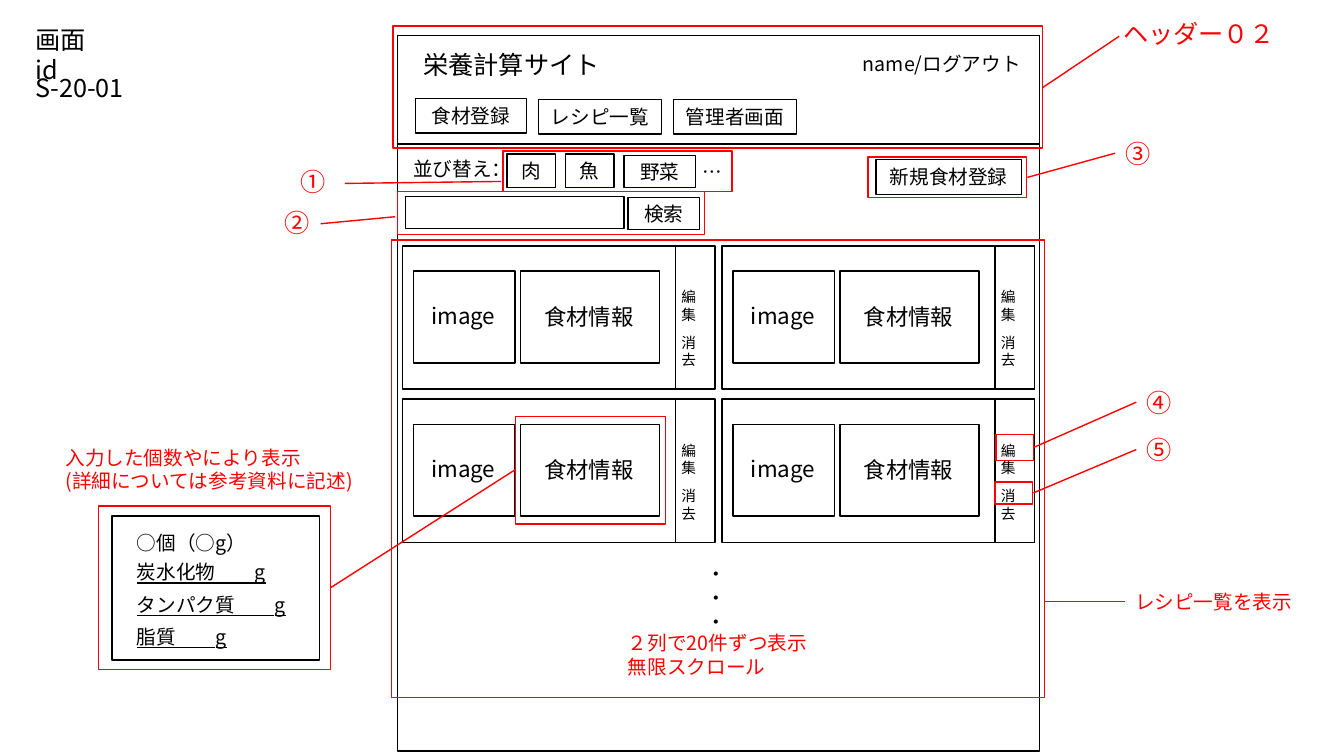
from lxml import etree
from pptx import Presentation
from pptx.dml.color import RGBColor
from pptx.enum.shapes import MSO_CONNECTOR, MSO_SHAPE
from pptx.enum.text import MSO_ANCHOR, MSO_AUTO_SIZE, PP_ALIGN
from pptx.oxml.ns import qn
from pptx.util import Inches, Pt

RECTANGLE = MSO_SHAPE.RECTANGLE
STRAIGHT = MSO_CONNECTOR.STRAIGHT
MIDDLE = MSO_ANCHOR.MIDDLE
CENTER = PP_ALIGN.CENTER
GROW = MSO_AUTO_SIZE.SHAPE_TO_FIT_TEXT
FONT = "Noto Sans CJK JP"
BLACK, RED = "000000", "FF0000"

# Boxes are (left, top, width, height) in inches.
FRAMES = [
    (3.94, 0.35, 6.37, 7.1),    # page
    (3.94, 0.35, 6.37, 1.08),   # header
    (4.02, 1.95, 2.17, 0.32),   # search field
    (1.11, 5.12, 2.06, 1.43),   # nutrition detail
]
BUTTONS = [
    ("食材登録", (4.12, 0.98, 1.1, 0.34)),
    ("レシピ一覧", (5.34, 0.99, 1.22, 0.34)),
    ("管理者画面", (6.68, 0.99, 1.22, 0.34)),
    ("肉", (5.03, 1.53, 0.48, 0.33)),
    ("魚", (5.61, 1.53, 0.48, 0.33)),
    ("野菜", (6.19, 1.54, 0.71, 0.32)),
    ("検索", (6.23, 1.96, 0.71, 0.32)),
    ("新規食材登録", (8.69, 1.58, 1.44, 0.35)),
]
# Lines of text, box, size
LABELS = [
    (["画面id"], (0.25, 0.19, 0.92, 0.4), 18),
    (["S-20-01"], (0.25, 0.67, 1.14, 0.4), 18),
    (["栄養計算サイト"], (4.1, 0.44, 2, 0.4), 18),
    (["name/ログアウト"], (8.46, 0.47, 1.87, 0.34), 14),
    (["並び替え："], (4, 1.51, 1.26, 0.34), 14),
    (["…"], (6.87, 1.54, 0.44, 0.34), 14),
    (["・", "・", "・"], (6.91, 5.53, 0.46, 0.81), 14),
    (["○個（○g）"], (1.26, 5.22, 1.91, 0.34), 14),
]
NUTRIENTS = [
    ("炭水化物　　g", 1.57),
    ("タンパク質　　g", 1.86),
    ("脂質　　g", 1.57),
]
NUTRIENT_LEFT, NUTRIENT_TOP, NUTRIENT_STEP = 1.26, 5.51, 0.32

CARD_LEFTS, CARD_TOPS = (3.99, 7.16), (2.44, 3.96)
# Offsets from the card's top left corner
CARD_FRAMES = [
    (0, 0, 3.1, 1.42),
    (0.11, 0.25, 1.01, 0.91),
    (1.17, 0.25, 1.38, 0.91),
    (2.71, 0, 0.39, 1.42),
]
CARD_LABELS = [
    ("image", (0.19, 0.51, 0.86, 0.45), 16),
    ("食材情報", (1.31, 0.52, 1.15, 0.45), 16),
    ("編集", (2.67, 0.37, 0.36, 0.25), 10.5),
    ("消去", (2.67, 0.82, 0.36, 0.25), 10.5),
]

# Red frame, leader line (from x, y, to x, y), note lines, note box, size
CALLOUTS = [
    ((4.99, 1.5, 2.27, 0.4), (3.42, 1.82, 4.97, 1.8),
     ["①"], (2.88, 1.6, 0.45, 0.4), 18),
    ((3.94, 1.9, 3.05, 0.43), (3.18, 2.22, 3.92, 2.15),
     ["②"], (2.72, 2.01, 0.45, 0.4), 18),
    ((8.61, 1.56, 1.57, 0.4), (10.19, 1.76, 11.06, 1.52),
     ["③"], (11.06, 1.32, 0.45, 0.4), 18),
    ((9.88, 4.31, 0.37, 0.26), (10.25, 4.44, 11.27, 3.99),
     ["④"], (11.27, 3.79, 0.45, 0.4), 18),
    ((9.87, 4.78, 0.37, 0.22), (10.25, 4.89, 11.27, 4.46),
     ["⑤"], (11.27, 4.26, 0.45, 0.4), 18),
    ((3.9, 0.26, 6.44, 1.21), (10.34, 0.87, 11.1, 0.36),
     ["ヘッダー０２"], (11.04, 0.13, 1.72, 0.4), 18),
    ((3.88, 2.38, 6.48, 4.54), (10.36, 5.97, 11.16, 5.97),
     ["レシピ一覧を表示"], (11.16, 5.8, 1.84, 0.34), 14),
    ((0.98, 5.02, 2.3, 1.62), (5.11, 4.66, 3.28, 5.83),
     ["入力した個数やにより表示", "(詳細については参考資料に記述)"],
     (0.55, 4.37, 3.45, 0.57), 14),
]
INFO_FRAME = (5.11, 4.13, 1.49, 1.07)
SCROLL_NOTE = (["２列で20件ずつ表示", "無限スクロール"], (6.13, 6.21, 2.57, 0.57), 14)


def rgb(color):
    """Turn a hex string into a colour."""
    return RGBColor.from_string(color)


def inches(values):
    """Turn numbers into lengths."""
    return [Inches(value) for value in values]


def shifted(box, left, top):
    """Move a box by an offset."""
    return (box[0] + left, box[1] + top, box[2], box[3])


def write(paragraph, text, size, color=BLACK, underline=None):
    """Add one formatted run to a paragraph."""
    run = paragraph.add_run()
    run.text = text
    run.font.name = FONT
    run.font.size = Pt(size)
    run.font.color.rgb = rgb(color)
    run.font.underline = underline
    east_asian = etree.SubElement(run.font._element, qn("a:ea"))
    east_asian.set("typeface", FONT)


def add_frame(slide, box, color=BLACK):
    """Add an unfilled, outlined rectangle."""
    shape = slide.shapes.add_shape(RECTANGLE, *inches(box))
    shape.shadow.inherit = False
    shape.fill.background()
    shape.line.color.rgb = rgb(color)
    shape.line.width = Pt(1)
    return shape


def add_button(slide, text, box):
    """Add a rectangle with a centred caption."""
    frame = add_frame(slide, box).text_frame
    frame.word_wrap = True
    frame.vertical_anchor = MIDDLE
    frame.paragraphs[0].alignment = CENTER
    write(frame.paragraphs[0], text, 14)


def add_label(slide, lines, box, size, color=BLACK, underline=None):
    """Add a text box with one paragraph per line."""
    frame = slide.shapes.add_textbox(*inches(box)).text_frame
    frame.word_wrap = True
    frame.auto_size = GROW
    for index, line in enumerate(lines):
        paragraph = frame.add_paragraph() if index else frame.paragraphs[0]
        write(paragraph, line, size, color, underline)


def add_leader(slide, ends):
    """Add a thin red line between two points."""
    connector = slide.shapes.add_connector(STRAIGHT, *inches(ends))
    connector.line.color.rgb = rgb(RED)
    connector.line.width = Pt(1)
    etree.SubElement(connector._element.spPr, qn("a:effectLst"))


def add_card(slide, left, top):
    """Add one ingredient card."""
    for box in CARD_FRAMES:
        add_frame(slide, shifted(box, left, top))
    for text, box, size in CARD_LABELS:
        add_label(slide, [text], shifted(box, left, top), size)


presentation = Presentation()
presentation.slide_width, presentation.slide_height = Inches(13.33), Inches(7.5)
slide = presentation.slides.add_slide(presentation.slide_layouts[6])

for box in FRAMES:
    add_frame(slide, box)
for text, box in BUTTONS:
    add_button(slide, text, box)
for lines, box, size in LABELS:
    add_label(slide, lines, box, size)
for row, (text, width) in enumerate(NUTRIENTS):
    box = (NUTRIENT_LEFT, NUTRIENT_TOP + row * NUTRIENT_STEP, width, 0.34)
    add_label(slide, [text], box, 14, underline=True)
for top in CARD_TOPS:
    for left in CARD_LEFTS:
        add_card(slide, left, top)

add_frame(slide, INFO_FRAME, RED)
for box, ends, lines, note_box, size in CALLOUTS:
    add_frame(slide, box, RED)
    add_leader(slide, ends)
    add_label(slide, lines, note_box, size, RED)
add_label(slide, *SCROLL_NOTE, RED)

presentation.save("out.pptx")
